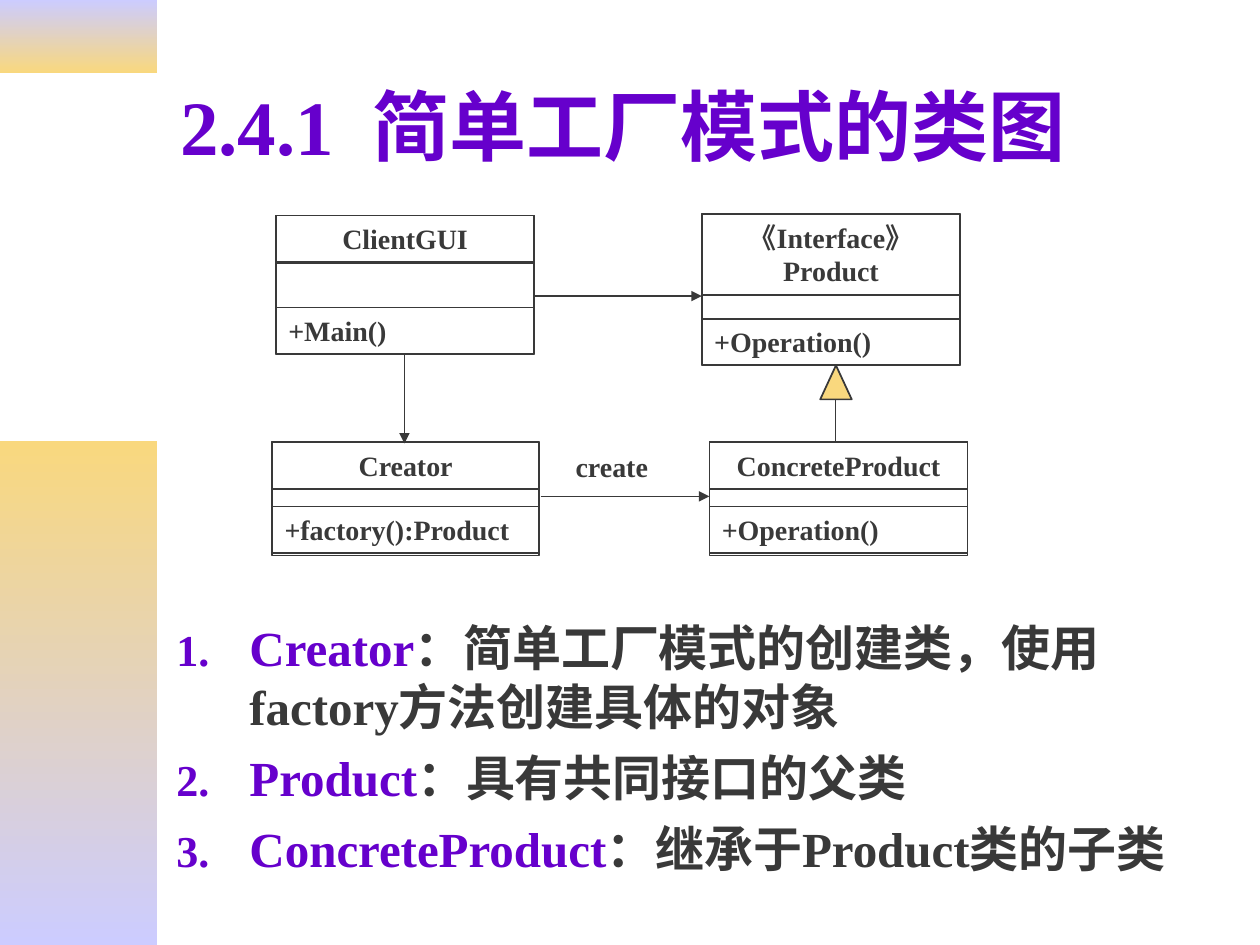
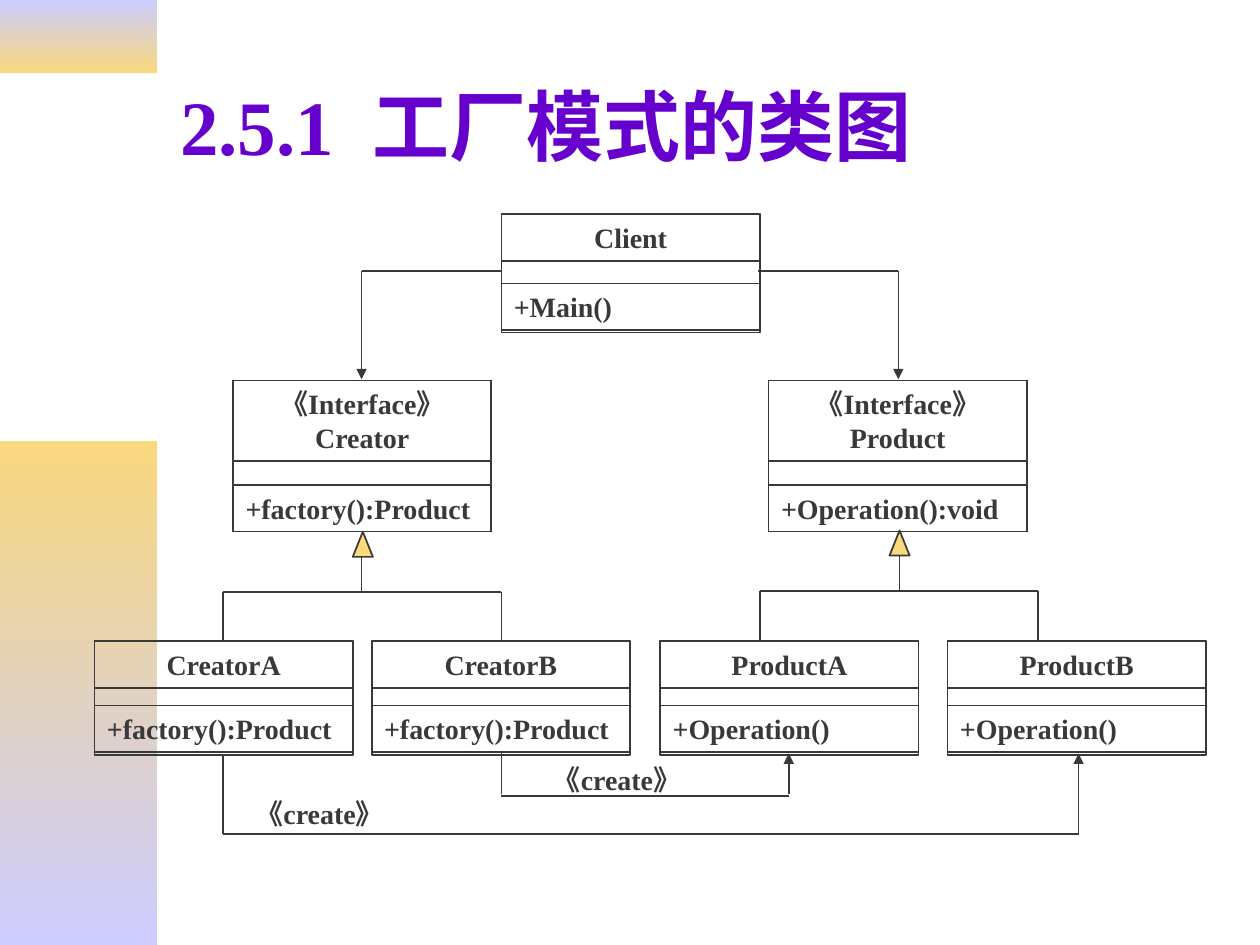
from lxml.etree import SubElement
from pptx import Presentation
from pptx.dml.color import RGBColor
from pptx.enum.shapes import MSO_CONNECTOR, MSO_SHAPE
from pptx.enum.text import MSO_ANCHOR, MSO_AUTO_SIZE, PP_ALIGN
from pptx.oxml.ns import qn
from pptx.util import Inches, Pt

FONT = "Times New Roman"
COLORS = {"ink": "393939", "accent": "6600CC", "lilac": "CCCCFF", "gold": "F9D87E"}
RGB = {name: RGBColor.from_string(value) for name, value in COLORS.items()}
BOX_WIDTH = 2.05
ROW_HEIGHT = 0.37

# Per class form: frame height, name row height, offset of the operation row
FORMS = {
    "gui": (1.1, ROW_HEIGHT, 0.73),
    "client": (0.94, ROW_HEIGHT, 0.55),
    "interface": (1.2, 0.64, 0.83),
    "concrete": (0.9, ROW_HEIGHT, 0.51),
}

# classes: form, name, operation, left, top, width
# lines: start x, start y, end x, end y; triangles: left, top, width, height
PAGES = [
    {
        "layout": 1,
        "title": ("2.4.1", "简单工厂模式的类图"),
        "classes": [
            ("gui", "ClientGUI", "+Main()", 2.19, 1.71, BOX_WIDTH),
            ("interface", "《Interface》Product", "+Operation()", 5.57, 1.7, BOX_WIDTH),
            ("concrete", "Creator", "+factory():Product", 2.16, 3.51, 2.12),
            ("concrete", "ConcreteProduct", "+Operation()", 5.63, 3.51, BOX_WIDTH),
        ],
        "lines": [(6.63, 3.16, 6.63, 3.52)],
        "arrows": [
            (4.24, 2.35, 5.57, 2.35),
            (3.21, 2.81, 3.21, 3.52),
            (4.29, 3.94, 5.63, 3.94),
        ],
        "triangles": [(6.51, 2.9, 0.25, 0.27)],
        "labels": [("create", 4.47, 3.52, 1.02)],
        "points": [
            ("Creator", "：简单工厂模式的创建类，使用factory方法创建具体的对象"),
            ("Product", "：具有共同接口的父类"),
            ("ConcreteProduct", "：继承于Product类的子类"),
        ],
    },
    {
        "layout": 5,
        "title": ("2.5.1", "工厂模式的类图"),
        "classes": [
            ("client", "Client", "+Main()", 3.98, 1.7, BOX_WIDTH),
            ("interface", "《Interface》Creator", "+factory():Product", 1.85, 3.02, BOX_WIDTH),
            ("interface", "《Interface》Product", "+Operation():void", 6.1, 3.02, BOX_WIDTH),
            ("concrete", "CreatorA", "+factory():Product", 0.75, 5.09, BOX_WIDTH),
            ("concrete", "CreatorB", "+factory():Product", 2.95, 5.09, BOX_WIDTH),
            ("concrete", "ProductA", "+Operation()", 5.24, 5.09, BOX_WIDTH),
            ("concrete", "ProductB", "+Operation()", 7.52, 5.09, BOX_WIDTH),
        ],
        "lines": [
            # Client to both interfaces
            (2.87, 2.15, 3.98, 2.15),
            (6.02, 2.15, 7.13, 2.15),
            # Creator inheritance
            (2.87, 4.42, 2.87, 4.7),
            (1.77, 4.7, 3.98, 4.7),
            (1.77, 4.7, 1.77, 5.09),
            (3.98, 4.7, 3.98, 5.09),
            # Product inheritance
            (7.14, 4.41, 7.14, 4.69),
            (6.03, 4.69, 8.24, 4.69),
            (6.03, 4.69, 6.03, 5.08),
            (8.24, 4.69, 8.24, 5.08),
            # Creation paths
            (3.98, 5.98, 3.98, 6.3),
            (3.98, 6.32, 6.26, 6.32),
            (1.77, 5.99, 1.77, 6.62),
            (1.77, 6.62, 8.56, 6.62),
        ],
        "arrows": [
            (2.87, 2.15, 2.87, 3.01),
            (7.13, 2.15, 7.13, 3.01),
            (6.26, 6.3, 6.26, 5.98),
            (8.56, 6.61, 8.56, 5.98),
        ],
        "triangles": [(2.8, 4.22, 0.16, 0.2), (7.06, 4.21, 0.16, 0.2)],
        "labels": [("《create》", 4.29, 6, 1.63), ("《create》", 1.93, 6.27, 1.63)],
        "points": [],
    },
]


def add_run(para, text, size, color):
    run = para.add_run()
    run.text = text
    run.font.name = FONT
    run.font.size = Pt(size)
    run.font.bold = True
    run.font.color.rgb = RGB[color]
    return run


def add_box(page, left, top, width, height, text="", align=PP_ALIGN.LEFT, outlined=True):
    """Add an unfilled diagram box, or a plain label when it is not outlined."""
    place = [Inches(value) for value in (left, top, width, height)]
    if outlined:
        box = page.shapes.add_shape(MSO_SHAPE.RECTANGLE, *place)
        box.shadow.inherit = False
        box.fill.background()
        box.line.color.rgb = RGB["ink"]
        box.line.width = Pt(1)
    else:
        box = page.shapes.add_textbox(*place)
    if text:
        frame = box.text_frame
        frame.word_wrap = True
        frame.vertical_anchor = MSO_ANCHOR.TOP
        para = frame.paragraphs[0]
        para.alignment = align
        add_run(para, text, 16, "ink")


deck = Presentation()
deck.slide_width, deck.slide_height = Inches(10), Inches(7.5)

for content in PAGES:
    page = deck.slides.add_slide(deck.slide_layouts[content["layout"]])

    title = page.shapes.title
    title.left, title.top = Inches(1.33), Inches(0.33)
    title.width, title.height = Inches(8.5), Inches(1.32)
    title.text_frame.auto_size = MSO_AUTO_SIZE.NONE
    title.text_frame.vertical_anchor = MSO_ANCHOR.MIDDLE
    para = title.text_frame.paragraphs[0]
    para.alignment = PP_ALIGN.LEFT
    number, heading = content["title"]
    add_run(para, number, 44, "accent")
    gap = add_run(para, " ", 44, "accent")
    gap._r.get_or_add_rPr().set("spc", "1100")
    add_run(para, heading, 44, "accent")

    for form, name, operation, left, top, width in content["classes"]:
        height, name_height, offset = FORMS[form]
        add_box(page, left, top, width, height)
        add_box(page, left, top, width, name_height, name, PP_ALIGN.CENTER)
        add_box(page, left, top + offset, width, ROW_HEIGHT, operation)
        if form == "gui":
            add_box(page, left, top + 0.38, width, 0.35)

    for kind in ("lines", "arrows"):
        for ends in content[kind]:
            line = page.shapes.add_connector(
                MSO_CONNECTOR.STRAIGHT, *[Inches(value) for value in ends])
            line.line.color.rgb = RGB["ink"]
            line.line.width = Pt(1)
            if kind == "arrows":
                SubElement(line.line._get_or_add_ln(), qn("a:tailEnd"), type="triangle")
            SubElement(line._element.spPr, qn("a:effectLst"))

    for place in content["triangles"]:
        triangle = page.shapes.add_shape(
            MSO_SHAPE.FLOWCHART_EXTRACT, *[Inches(value) for value in place])
        triangle.shadow.inherit = False
        triangle.fill.solid()
        triangle.fill.fore_color.rgb = RGB["gold"]
        triangle.line.color.rgb = RGB["ink"]
        triangle.line.width = Pt(1)

    for text, left, top, width in content["labels"]:
        add_box(page, left, top, width, ROW_HEIGHT, text, outlined=False)

    if content["points"]:
        body = page.placeholders[1]
        body.left, body.top = Inches(1.3), Inches(4.85)
        body.width, body.height = Inches(8.5), Inches(2.24)
        frame = body.text_frame
        frame.auto_size = MSO_AUTO_SIZE.NONE
        for index, (term, meaning) in enumerate(content["points"]):
            para = frame.add_paragraph() if index else frame.paragraphs[0]
            props = para._p.get_or_add_pPr()
            props.set("marL", str(Inches(0.58)))
            props.set("indent", str(-Inches(0.58)))
            bullet_color = SubElement(props, qn("a:buClr"))
            SubElement(bullet_color, qn("a:srgbClr"), val=COLORS["accent"])
            SubElement(props, qn("a:buSzPct"), val="90000")
            SubElement(props, qn("a:buFont"), typeface=FONT)
            SubElement(props, qn("a:buAutoNum"), type="arabicPeriod")
            para.space_before = Pt(7 if index else 0)
            add_run(para, term, 28, "accent")
            add_run(para, meaning, 28, "ink")

# The side bands are drawn on a slide, then moved to the back of the master
master_tree = deck.slide_master.shapes.element
for top, height, colors in ((0, 0.58, ("lilac", "gold")), (3.5, 4, ("gold", "lilac"))):
    band = deck.slides[0].shapes.add_shape(
        MSO_SHAPE.RECTANGLE, 0, Inches(top), Inches(1.25), Inches(height))
    band.shadow.inherit = False
    band.line.fill.background()
    band.fill.gradient()
    band.fill.gradient_angle = 270
    for stop, color in zip(band.fill.gradient_stops, colors):
        stop.color.rgb = RGB[color]
    master_tree.insert(2, band.element)

deck.save("out.pptx")
